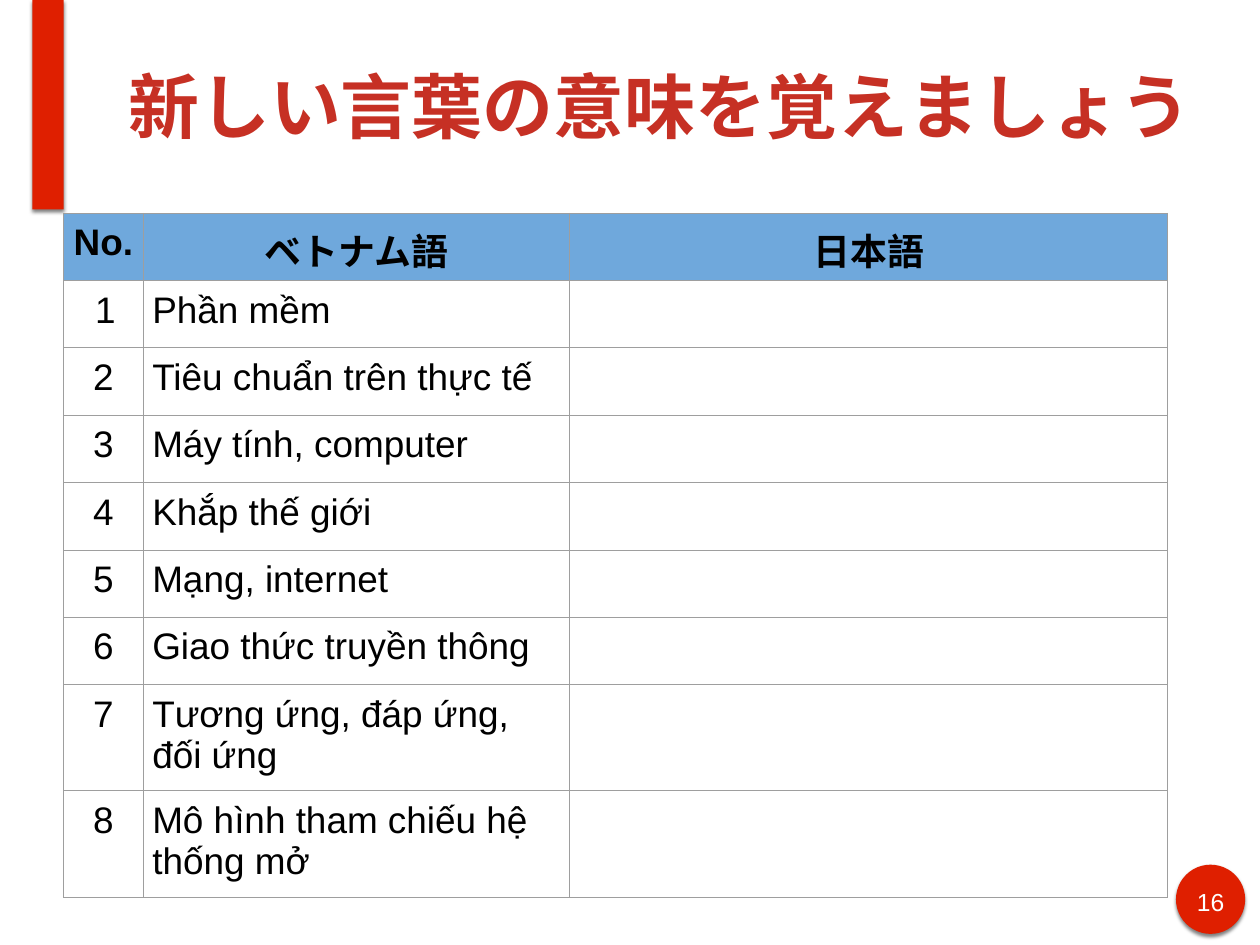
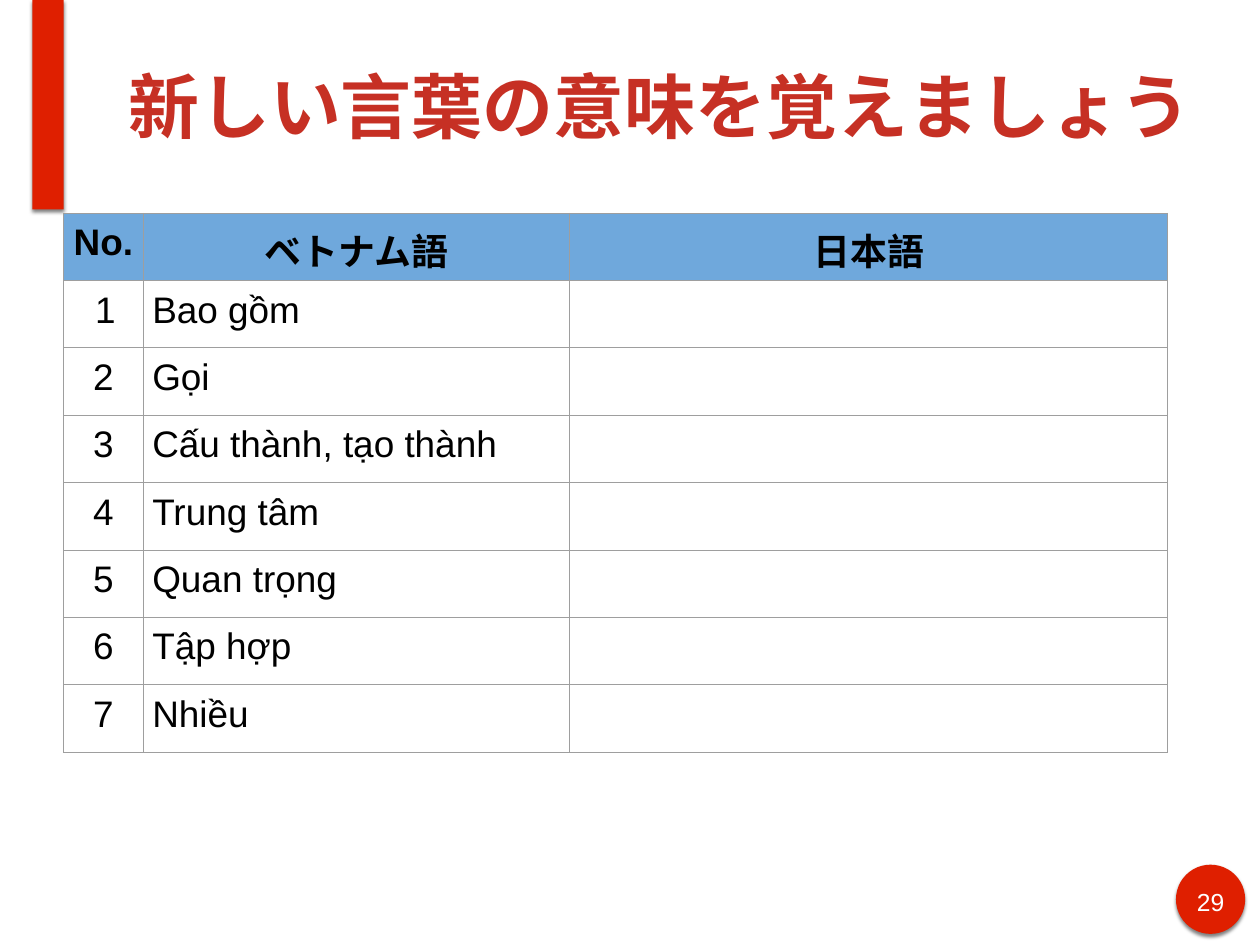
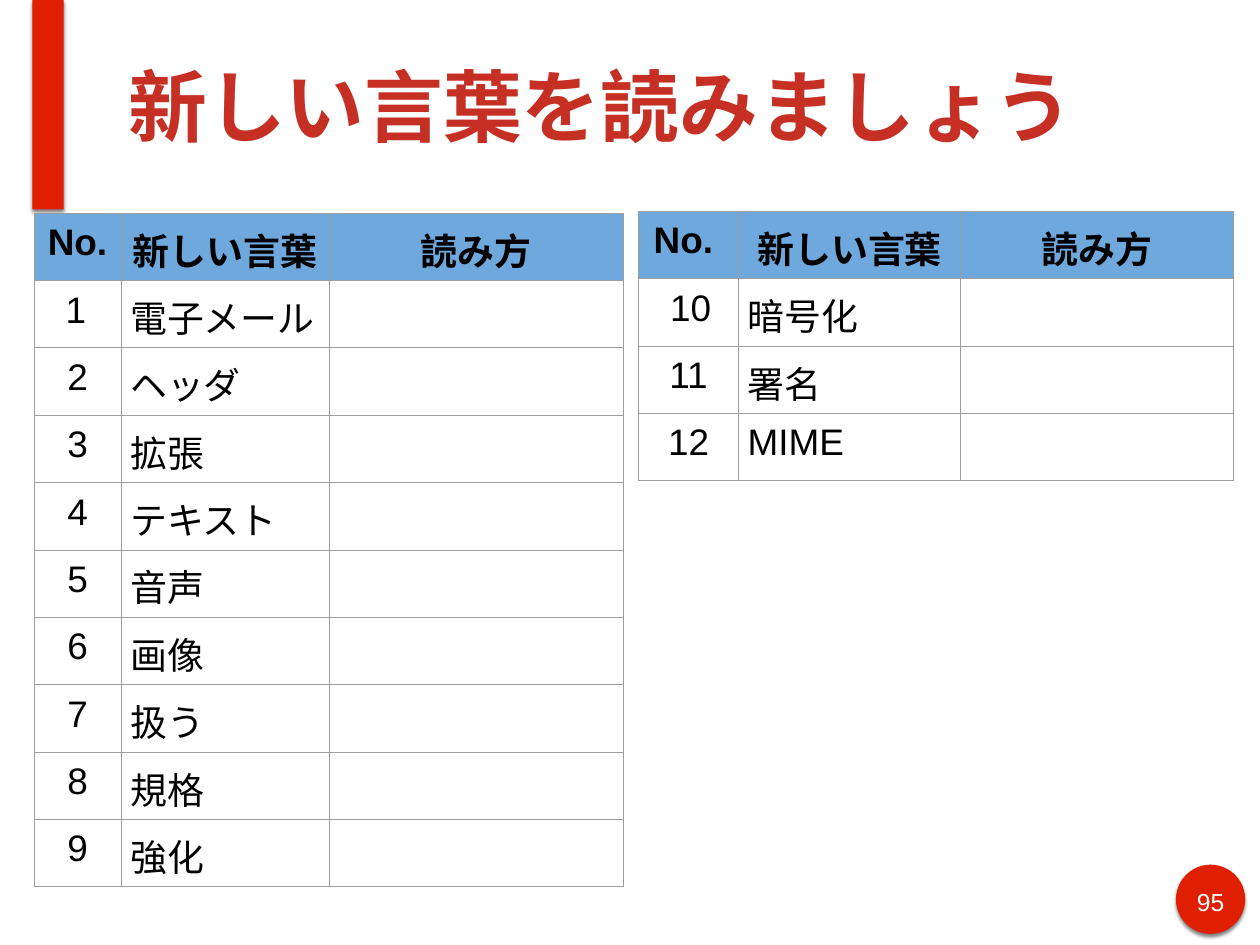
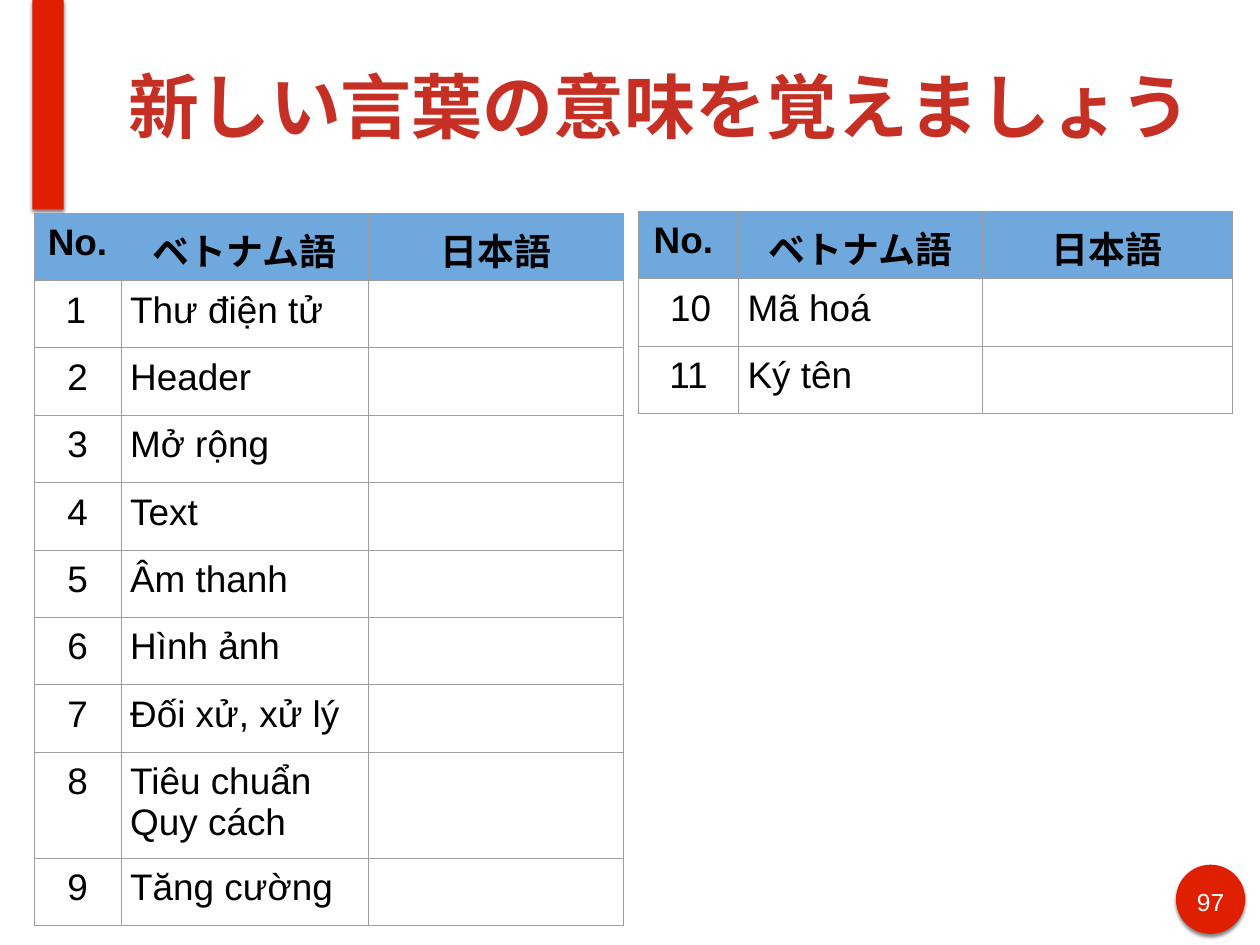
"""Build four vocabulary slides with Vietnamese and Japanese word tables."""
from dataclasses import dataclass

from lxml.etree import SubElement
from pptx import Presentation
from pptx.dml.color import RGBColor as RGB
from pptx.enum.shapes import MSO_SHAPE as Shape
from pptx.enum.text import MSO_ANCHOR as Anchor, MSO_AUTO_SIZE as AutoSize, PP_ALIGN as Align
from pptx.oxml import parse_xml
from pptx.oxml.ns import nsdecls, qn
from pptx.util import Pt

PX = 9525


@dataclass(frozen=True)
class Theme:
    """Colours, font and type sizes."""
    accent: RGB = RGB.from_string("DF1F00")
    title: RGB = RGB.from_string("C63024")
    header: RGB = RGB.from_string("6FA8DC")
    text: RGB = RGB.from_string("000000")
    light: RGB = RGB.from_string("FFFFFF")
    border: str = "9E9E9E"
    font: str = "Arial"
    long_title_size: float = 57.6
    short_title_size: float = 64
    table_size: float = 30
    number_size: float = 20


THEME = Theme()

SLIDE_SIZE = (1365, 1024)
TITLE_BOX = (133, 12, 1165, 204)
NUMBER_BOX = (1288, 955, 47, 37)
BADGE_BOX = (1274, 937, 75, 75)
BAR_BOX = (35, 0, 34, 227)
BOX_INSETS = (6, 6, 6, 6)
CELL_INSETS = (10, 10, 10, 9)
ROW_HEIGHT = 73
FIRST_NUMBER_INDENT = (48, -24)

FULL, LEFT, RIGHT = (69, 231), (37, 231), (692, 229)
MEANING = "新しい言葉の意味を覚えましょう"
READING = "新しい言葉を読みましょう"
MEANING_HEADER = ("No. ", "ベトナム語", "日本語")
READING_HEADER = ("No. ", "新しい言葉", "読み方")

SLIDES = [
    {"number": 16, "title": MEANING, "size": THEME.long_title_size, "header": MEANING_HEADER, "tables": [
        (FULL, (86, 462, 648), 1, [
            "Phần mềm", "Tiêu chuẩn trên thực tế", "Máy tính, computer", "Khắp thế giới",
            "Mạng, internet", "Giao thức truyền thông", "Tương ứng, đáp ứng, đối ứng",
            "Mô hình tham chiếu hệ thống mở"]),
    ]},
    {"number": 29, "title": MEANING, "size": THEME.long_title_size, "header": MEANING_HEADER, "tables": [
        (FULL, (86, 462, 648), 1, [
            "Bao gồm", "Gọi", "Cấu thành, tạo thành", "Trung tâm", "Quan trọng", "Tập hợp", "Nhiều"]),
    ]},
    {"number": 95, "title": READING, "size": THEME.short_title_size, "header": READING_HEADER, "tables": [
        (LEFT, (94, 226, 318), 1, [
            "電子メール", "ヘッダ", "拡張", "テキスト", "音声", "画像", "扱う", "規格", "強化"]),
        (RIGHT, (108, 241, 295), 10, ["暗号化", "署名", "MIME"]),
    ]},
    {"number": 97, "title": MEANING, "size": THEME.long_title_size, "header": MEANING_HEADER, "tables": [
        (LEFT, (94, 268, 276), 1, [
            "Thư điện tử", "Header", "Mở rộng", "Text", "Âm thanh", "Hình ảnh",
            "Đối xử, xử lý", "Tiêu chuẩn\nQuy cách", "Tăng cường"]),
        (RIGHT, (108, 264, 271), 10, ["Mã hoá", "Ký tên"]),
    ]},
]


def scaled(lengths):
    """Turn px lengths into EMU."""
    return [length * PX for length in lengths]


def set_insets(target, insets):
    """Set the left, top, right and bottom margins of a text frame or cell."""
    target.margin_left, target.margin_top, target.margin_right, target.margin_bottom = scaled(insets)


def style_text(text_frame, size, color, bold=False, align=Align.LEFT):
    """Apply one font and alignment to every paragraph."""
    for paragraph in text_frame.paragraphs:
        paragraph.alignment = align
        font = paragraph.font
        font.name, font.size, font.bold = THEME.font, Pt(size), bold
        font.color.rgb = color


def add_accent(slide, layout, preset, box):
    """Make a shadowed accent shape and place it on the shared layout."""
    shape = slide.shapes.add_shape(preset, *scaled(box))
    shape.fill.solid()
    shape.fill.fore_color.rgb = THEME.accent
    shape.line.fill.background()
    shape.shadow.inherit = False
    effects = shape._element.spPr.find(qn("a:effectLst"))
    effects.append(parse_xml(
        f'<a:outerShdw {nsdecls("a")} blurRad="{Pt(3)}" dist="{Pt(2)}" dir="5400000" rotWithShape="0">'
        '<a:srgbClr val="000000"><a:alpha val="50000"/></a:srgbClr></a:outerShdw>'))
    layout.shapes._spTree.append(shape._element)


def prepare_layout(layout):
    """Place the title placeholder that all slides inherit."""
    title = next(shape for shape in layout.placeholders if shape.placeholder_format.idx == 0)
    title.left, title.top, title.width, title.height = scaled(TITLE_BOX)
    title.text_frame.vertical_anchor = Anchor.MIDDLE
    title.text_frame.auto_size = AutoSize.NONE
    set_insets(title.text_frame, BOX_INSETS)


def set_borders(cell):
    """Draw thin lines on all four sides of a cell."""
    properties = cell._tc.get_or_add_tcPr()
    for index, side in enumerate(("lnL", "lnR", "lnT", "lnB")):
        line = SubElement(properties, qn(f"a:{side}"), w=str(Pt(0.75)))
        fill = SubElement(line, qn("a:solidFill"))
        SubElement(fill, qn("a:srgbClr"), val=THEME.border)
        properties.insert(index, line)


def fill_cell(cell, text, is_header, align):
    """Write and format one table cell."""
    cell.text = text
    set_insets(cell, CELL_INSETS)
    if is_header:
        cell.fill.solid()
        cell.fill.fore_color.rgb = THEME.header
    else:
        cell.fill.background()
    style_text(cell.text_frame, THEME.table_size, THEME.text, is_header, align)
    set_borders(cell)


def add_word_table(slide, header, position, widths, first_number, words):
    """Add a numbered word table with an empty answer column."""
    rows = [header] + [(str(number), word, "") for number, word in enumerate(words, first_number)]
    box = (*position, sum(widths), ROW_HEIGHT * len(rows))
    table = slide.shapes.add_table(len(rows), len(widths), *scaled(box)).table
    table.first_row = table.horz_banding = False
    for column, width in zip(table.columns, scaled(widths)):
        column.width = width
    for row_index, row in enumerate(rows):
        for column_index, text in enumerate(row):
            centred = row_index == 0 or (column_index == 0 and row_index > 1)
            fill_cell(table.cell(row_index, column_index), text, row_index == 0,
                      Align.CENTER if centred else Align.LEFT)
    properties = table.cell(1, 0).text_frame.paragraphs[0]._p.get_or_add_pPr()
    for name, length in zip(("marL", "indent"), scaled(FIRST_NUMBER_INDENT)):
        properties.set(name, str(length))


def add_slide_number(slide, number):
    """Write the slide number over the badge."""
    text_frame = slide.shapes.add_textbox(*scaled(NUMBER_BOX)).text_frame
    text_frame.word_wrap = True
    set_insets(text_frame, BOX_INSETS)
    text_frame.text = str(number)
    style_text(text_frame, THEME.number_size, THEME.light, align=Align.CENTER)


def main():
    """Build and save the presentation."""
    presentation = Presentation()
    presentation.slide_width, presentation.slide_height = scaled(SLIDE_SIZE)
    layout = presentation.slide_layouts[5]
    prepare_layout(layout)
    for content in SLIDES:
        slide = presentation.slides.add_slide(layout)
        add_slide_number(slide, content["number"])
        title = slide.shapes.title.text_frame
        title.text = content["title"]
        style_text(title, content["size"], THEME.title, bold=True)
        for table in content["tables"]:
            add_word_table(slide, content["header"], *table)
    add_accent(presentation.slides[0], layout, Shape.OVAL, BADGE_BOX)
    add_accent(presentation.slides[0], layout, Shape.RECTANGLE, BAR_BOX)
    presentation.save("out.pptx")


if __name__ == "__main__":
    main()
